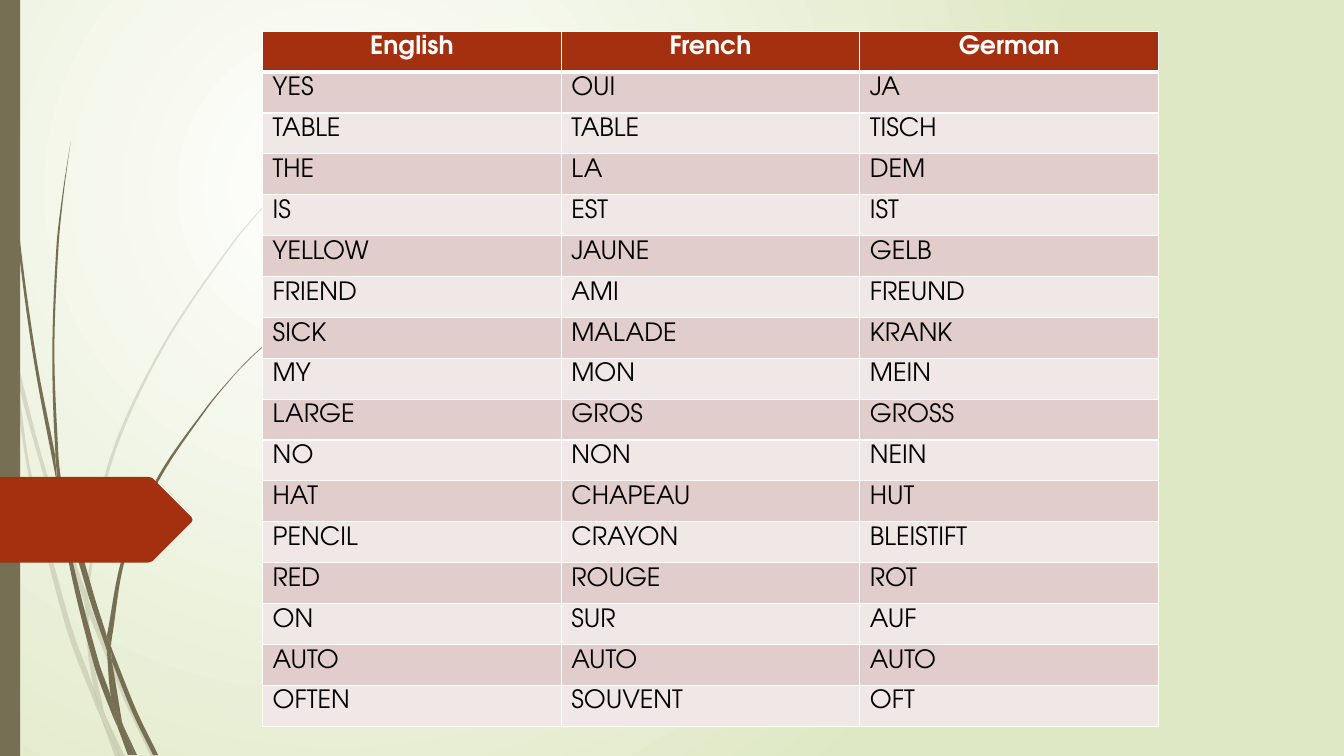
from math import dist
from pptx import Presentation
from pptx.dml.color import RGBColor
from pptx.enum.shapes import MSO_SHAPE as Preset
from pptx.enum.text import PP_ALIGN as Align
from pptx.oxml import parse_xml
from pptx.oxml.ns import nsdecls, qn
from pptx.util import Pt

FONT = "TeX Gyre Adventor"
WHITE, BLACK, RUST, OLIVE = "FFFFFF", "000000", "A53010", "766F54"
BANDS = ["E1CDCC", "F0E8E7"]

# Content
languages = ("English", "French", "German")
words = [
    ("YES", "OUI", "JA"),
    ("TABLE", "TABLE", "TISCH"),
    ("THE", "LA", "DEM"),
    ("IS", "EST", "IST"),
    ("YELLOW", "JAUNE", "GELB"),
    ("FRIEND", "AMI", "FREUND"),
    ("SICK", "MALADE", "KRANK"),
    ("MY", "MON", "MEIN"),
    ("LARGE", "GROS", "GROSS"),
    ("NO", "NON", "NEIN"),
    ("HAT", "CHAPEAU", "HUT"),
    ("PENCIL", "CRAYON", "BLEISTIFT"),
    ("RED", "ROUGE", "ROT"),
    ("ON", "SUR", "AUF"),
    ("AUTO", "AUTO", "AUTO"),
    ("OFTEN", "SOUVENT", "OFT"),
]

# Grass blades: the two curved sides of each piece, in points
pale_grass = [
    ([(7.9, 252), (6.5, 231.8), (0, 203)], [(0, 215.3), (7.2, 247.7), (7.9, 252)]),
    ([(10.1, 248.4), (26, 312), (44.6, 374.4), (61.2, 421.9)],
     [(60.5, 431.3), (41.8, 375.8), (12.2, 270.7), (10.1, 248.4)]),
    ([(63.4, 429.1), (66.2, 437), (91.4, 498.2), (111.6, 540.7)],
     [(108, 540.7), (88.6, 499.7), (63.4, 439.2)]),
    ([(75.6, 511.9), (89.3, 540.7)], [(85.7, 540.7)]),
    ([(7.9, 252), (12.2, 270.7), (22.3, 337.7), (50.4, 445.7), (67, 491.8), (71.3, 509),
      (72.7, 514.1)],
     [(72.7, 514.1), (66.2, 499), (46.8, 447.1), (20.2, 338.4), (7.9, 252)]),
    ([(60.5, 431.3), (62.6, 465.1), (67, 491.8), (69.1, 498.2), (75.6, 511.9)],
     [(74.2, 508.3), (65.5, 465.1), (63.4, 439.2), (63.4, 437.8), (60.5, 431.3)]),
    ([(63.4, 429.1), (63.4, 420.5), (79.2, 332.6), (115.2, 251.3), (164.9, 176.4),
      (193, 142.6), (208.8, 126), (224.6, 110.9)],
     [(224.6, 110.2), (208.1, 126), (193, 141.8), (164.2, 175.7), (113.8, 250.6),
      (77, 331.9), (61.2, 420.5), (61.2, 421.9)]),
    ([(72.7, 514.1), (82.1, 540.7)], [(85.7, 540.7)]),
    ([(63.4, 437.8), (63.4, 439.2)], [(63.4, 429.1)], [(61.2, 421.9), (60.5, 431.3)]),
    ([(67, 491.8), (71.3, 509), (72.7, 514.1), (85.7, 540.7)],
     [(85.7, 540.7), (75.6, 511.9), (69.1, 498.2)]),
]
dark_grass = [
    ([(2.2, 0), (2.9, 34.6), (5, 79.2), (12.2, 167.8), (23.8, 255.6), (40.3, 343.4),
      (41, 346.3)],
     [(39.6, 329), (39.6, 326.2), (25.9, 255.6), (13.7, 167), (5.8, 78.5), (3.6, 34.6),
      (2.9, 0)]),
    ([(43.2, 339.8), (67, 424.8), (76.3, 454.3), (76.3, 455.8)],
     [(76.3, 464.4), (63.4, 426.2), (46.1, 363.6), (43.2, 339.8)]),
    ([(79.2, 461.5), (81.4, 467.3), (97.9, 508.3), (113, 539.3)],
     [(109.4, 539.3), (95, 509.8), (79.9, 472.3)]),
    ([(41, 343.4), (46.1, 363.6), (51.8, 400.3), (70.6, 473), (79.2, 497.5), (83.5, 516.2),
      (84.2, 519.8)],
     [(84.2, 519.8), (79.9, 509.8), (67, 474.5), (49, 401), (41, 343.4)]),
    ([(43.2, 339.8), (41.8, 326.2), (38.9, 251.3), (41.8, 176.4), (45.4, 139), (50.4, 101.5)],
     [(50.4, 101.5), (44.6, 139), (40.3, 176.4), (37.4, 251.3), (39.6, 323.3),
      (43.2, 339.8)]),
    ([(87.8, 517.7), (97.9, 539.3)], [(95.8, 539.3)]),
    ([(41, 343.4), (46.1, 363.6)], [(43.2, 339.8), (39.6, 323.3), (39.6, 326.2)]),
    ([(79.2, 461.5), (79.9, 455.8), (90, 397.4), (113.8, 342.7), (147.6, 292.3),
      (166.3, 269.3), (176.4, 258.5), (187.9, 247.7)],
     [(187.2, 247.7), (176.4, 257.8), (166.3, 268.6), (146.9, 291.6), (112.3, 341.3),
      (87.8, 396.7), (76.3, 454.3)]),
    ([(84.2, 519.8), (91.4, 539.3)], [(94.3, 539.3)]),
    ([(76.3, 464.4), (79.2, 497.5), (83.5, 508.3), (87.8, 517.7)],
     [(87.1, 515.5), (79.9, 472.3), (78.5, 468.7), (76.3, 464.4)]),
    ([(76.3, 464.4), (78.5, 468.7), (79.9, 472.3)], [(79.2, 461.5), (76.3, 454.3)]),
    ([(79.2, 497.5), (83.5, 516.2), (84.2, 519.8), (93.6, 539.3)],
     [(95.8, 539.3), (87.8, 517.7), (83.5, 508.3)]),
]
pointer = [(0, 340.6), (105.8, 340.6), (108.7, 341.3), (136.8, 369.4), (137.5, 371.2),
           (136.8, 373), (108.7, 401), (105.8, 401.8), (0, 401.8)]


def rgb(color):
    return RGBColor.from_string(color)


def paint(shape, color, opacity=100):
    shape.shadow.inherit = False
    shape.fill.solid()
    shape.fill.fore_color.rgb = rgb(color)
    shape.line.fill.background()
    if opacity < 100:
        shade = shape.fill._xPr.find(".//" + qn("a:srgbClr"))
        shade.append(parse_xml(f'<a:alpha {nsdecls("a")} val="{opacity * 1000}"/>'))


def curve_through(knots):
    """One Bezier segment (two handles and an end) between each pair of knots."""
    def handle(i, other):
        before, after = knots[max(i - 1, 0)], knots[min(i + 1, len(knots) - 1)]
        around = dist(before, knots[i]) + dist(knots[i], after)
        reach = (other - i) * dist(knots[i], knots[other]) / around / 3
        return tuple(k + reach * (a - b) for k, a, b in zip(knots[i], after, before))

    if len(knots) == 2:
        return [knots[1:]]
    return [[handle(i, i + 1), handle(i + 1, i), knots[i + 1]] for i in range(len(knots) - 1)]


def add_outline(shapes, sides, color, opacity=100):
    end, segments = sides[0][0], []
    for side in sides:
        if side[0] != end:
            segments.append([side[0]])
        segments += curve_through(side)
        end = side[-1]
    builder = shapes.build_freeform(*map(Pt, sides[0][0]))
    builder.add_line_segments([(Pt(x), Pt(y)) for segment in segments for x, y in segment])
    outline = builder.convert_to_shape()
    lines = iter(outline._element.findall(".//" + qn("a:lnTo")))
    for segment in segments:
        first, *others = [next(lines) for _ in segment]
        if others:
            first.tag = qn("a:cubicBezTo")
            for line in others:
                first.append(line[0])
                line.getparent().remove(line)
    paint(outline, color, opacity)


def add_border(cell, side, width):
    cell._tc.get_or_add_tcPr().append(parse_xml(
        f'<a:{side} {nsdecls("a")} w="{Pt(width)}"><a:solidFill>'
        f'<a:srgbClr val="{WHITE}"/></a:solidFill></a:{side}>'))


def fill_cell(cell, word, row):
    header = row == 0
    for side in ("lnL", "lnR", "lnT", "lnB"):
        thick = (header and side == "lnB") or (row == 1 and side == "lnT")
        add_border(cell, side, 3 if thick else 1)
    cell.fill.solid()
    cell.fill.fore_color.rgb = rgb(RUST if header else BANDS[(row - 1) % 2])
    paragraph = cell.text_frame.paragraphs[0]
    paragraph.alignment = Align.CENTER if header else Align.LEFT
    run = paragraph.add_run()
    run.text = word
    run.font.name, run.font.size, run.font.bold = FONT, Pt(18), header
    run.font.color.rgb = rgb(WHITE if header else BLACK)


deck = Presentation()
deck.slide_width, deck.slide_height = Pt(960), Pt(540)
slide = deck.slides.add_slide(deck.slide_layouts[6])

# Background glow
glow = slide.background.fill
glow.gradient()
for stop, color in zip(glow.gradient_stops, (WHITE, "DFE8C4")):
    stop.color.rgb = rgb(color)
gradient = slide.element.find(".//" + qn("a:gradFill"))
gradient.remove(gradient.find(qn("a:lin")))
gradient.append(parse_xml(
    f'<a:path {nsdecls("a")} path="circle">'
    '<a:fillToRect l="50000" t="50000" r="100000" b="100000"/></a:path>'))

# Grass, side bar and pointer
for blades, opacity in ((pale_grass, 20), (dark_grass, 100)):
    tuft = slide.shapes.add_group_shape()
    for sides in blades:
        add_outline(tuft.shapes, sides, OLIVE, opacity)
side_bar = slide.shapes.add_shape(Preset.RECTANGLE, 0, 0, Pt(14.4), Pt(540))
paint(side_bar, OLIVE)
add_outline(slide.shapes, [[corner] for corner in pointer], RUST)

# Vocabulary table
rows = [languages] + words
vocabulary = slide.shapes.add_table(
    len(rows), len(languages), Pt(187.6), Pt(22.3), Pt(640), Pt(496.4)).table
for row, entry in enumerate(rows):
    vocabulary.rows[row].height = Pt(29.2)
    for column, word in enumerate(entry):
        fill_cell(vocabulary.cell(row, column), word, row)

deck.save("out.pptx")
